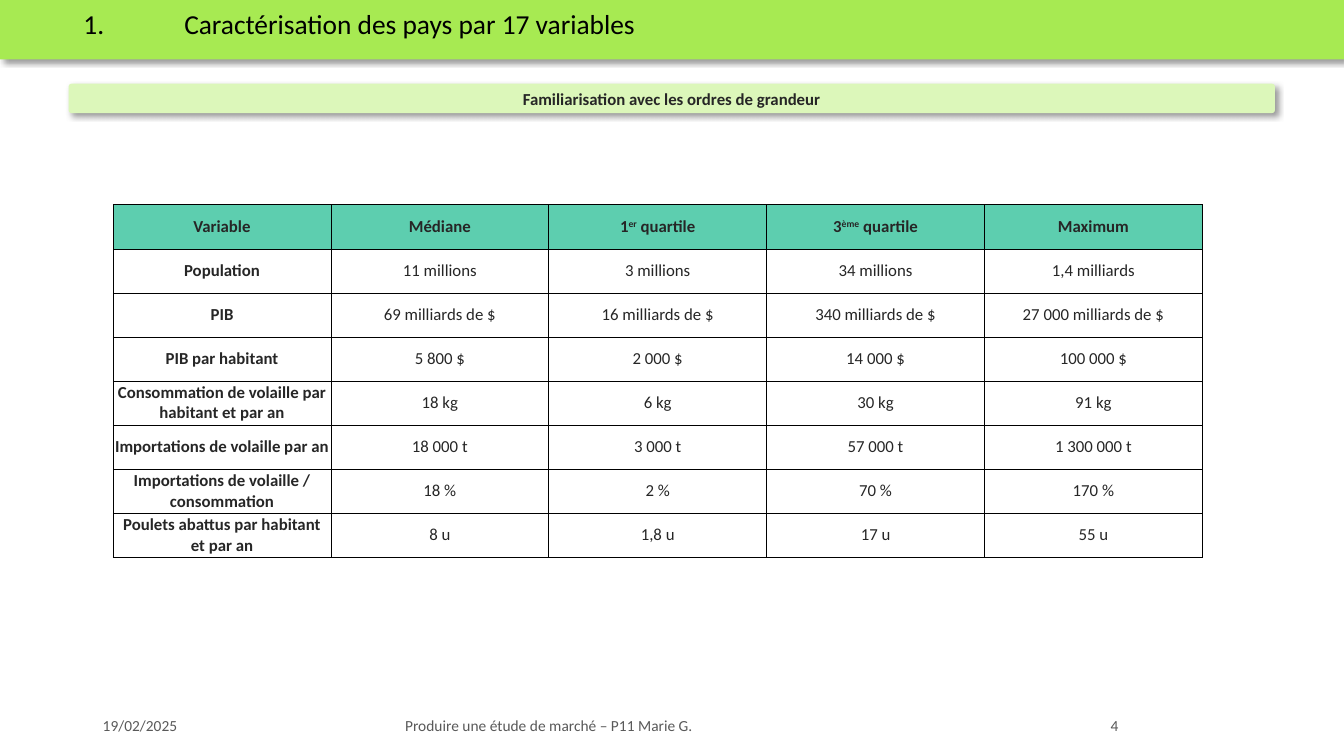
import pptx
import pptx.dml.color
import pptx.enum.shapes
import pptx.enum.text
import pptx.oxml
import pptx.oxml.ns
import pptx.util

Cm, Pt = pptx.util.Cm, pptx.util.Pt
SHAPE = pptx.enum.shapes.MSO_SHAPE
ALIGN = pptx.enum.text.PP_ALIGN
ANCHOR = pptx.enum.text.MSO_ANCHOR
NS = pptx.oxml.ns.nsdecls("a")

TITLE = "1.\tCaractérisation des pays par 17 variables"
BADGE = "Familiarisation avec les ordres de grandeur"
FOOTER = "19/02/2025\tProduire une étude de marché – P11 Marie G.\t4"
# Text between carets is superscript.
ROWS = [
    ("Variable", "Médiane", "1^er^ quartile", "3^ème^ quartile", "Maximum"),
    ("Population", "11 millions", "3 millions", "34 millions", "1,4 milliards"),
    ("PIB", "69 milliards de $", "16 milliards de $", "340 milliards de $",
     "27 000 milliards de $"),
    ("PIB par habitant", "5 800 $", "2 000 $", "14 000 $", "100 000 $"),
    ("Consommation de volaille par habitant et par an", "18 kg", "6 kg",
     "30 kg", "91 kg"),
    ("Importations de volaille par an", "18 000 t", "3 000 t", "57 000 t",
     "1 300 000 t"),
    ("Importations de volaille / consommation", "18 %", "2 %", "70 %", "170 %"),
    ("Poulets abattus par habitant et par an", "8 u", "1,8 u", "17 u", "55 u"),
]
LIME, PALE, TEAL = "A7EA52", "DCF7BA", "5DCEAF"
BLACK, DARK, GREY = "000000", "262626", "595959"
COL, ROW = 5.49, 1.11


def color(code):
    return pptx.dml.color.RGBColor.from_string(code)


def box(*sizes):
    return [Cm(size) for size in sizes]


def style(para, size, code, bold=False, align=ALIGN.LEFT):
    para.alignment = align
    for run in para.runs:
        font = run.font
        font.name, font.size, font.bold = "Calibri", Pt(size), bold
        font.color.rgb = color(code)


def tabs(para, *stops):
    """Give the paragraph left tab stops, in centimetres."""
    marks = "".join(f'<a:tab pos="{Cm(stop)}" algn="l"/>' for stop in stops)
    para._p.get_or_add_pPr().append(
        pptx.oxml.parse_xml(f"<a:tabLst {NS}>{marks}</a:tabLst>"))


def band(slide, kind, place, code):
    """Add a filled bar with a soft shadow at its lower right."""
    bar = slide.shapes.add_shape(kind, *box(*place))
    bar.fill.solid()
    bar.fill.fore_color.rgb = color(code)
    bar.line.fill.background()
    bar.shadow.inherit = False
    glow = bar._element.spPr.find(pptx.oxml.ns.qn("a:effectLst"))
    glow.append(pptx.oxml.parse_xml(
        f'<a:outerShdw {NS} blurRad="{Pt(4)}" dist="{Pt(3)}" dir="2700000" '
        'algn="tl" rotWithShape="0"><a:srgbClr val="000000">'
        '<a:alpha val="40000"/></a:srgbClr></a:outerShdw>'))
    return bar


def border(cell):
    props = cell._tc.get_or_add_tcPr()
    for spot, side in enumerate(("lnL", "lnR", "lnT", "lnB")):
        props.insert(spot, pptx.oxml.parse_xml(
            f'<a:{side} {NS} w="{Pt(0.5)}"><a:solidFill>'
            f'<a:srgbClr val="{BLACK}"/></a:solidFill></a:{side}>'))


def fill_cell(cell, text, head, bold):
    cell.margin_left = cell.margin_right = Cm(0.03)
    cell.margin_top = cell.margin_bottom = Cm(0.03)
    cell.vertical_anchor = ANCHOR.MIDDLE
    if head:
        cell.fill.solid()
        cell.fill.fore_color.rgb = color(TEAL)
    else:
        cell.fill.background()
    border(cell)
    para = cell.text_frame.paragraphs[0]
    for spot, part in enumerate(text.split("^")):
        run = para.add_run()
        run.text = part
        if spot % 2:
            run._r.get_or_add_rPr().set("baseline", "30000")
    style(para, 12, DARK, bold, ALIGN.CENTER)


def add_grid(slide):
    wide, tall = len(ROWS[0]), len(ROWS)
    grid = slide.shapes.add_table(
        tall, wide, *box(2.85, 5.16, COL * wide, ROW * tall)).table
    grid.horz_banding = False
    for col in grid.columns:
        col.width = Cm(COL)
    for r, row in enumerate(ROWS):
        grid.rows[r].height = Cm(ROW)
        for c, text in enumerate(row):
            fill_cell(grid.cell(r, c), text, r == 0, r == 0 or c == 0)


def add_title(slide):
    title = slide.shapes.title
    title.left, title.top, title.width, title.height = box(1.85, 0.28, 25.83, 0.91)
    frame = title.text_frame
    frame.text = TITLE
    frame.word_wrap = True
    frame.auto_size = pptx.enum.text.MSO_AUTO_SIZE.NONE
    frame.vertical_anchor = ANCHOR.TOP
    para = frame.paragraphs[0]
    para.line_spacing, para.space_before = 0.7, Pt(10)
    style(para, 19.6, BLACK)
    tabs(para, 2.54)
    slide.shapes._spTree.append(title._element)  # in front of the top bar


def add_badge(slide):
    badge = band(slide, SHAPE.ROUNDED_RECTANGLE, (1.73, 2.11, 30.4, 0.74), PALE)
    badge.adjustments[0] = 0.1
    frame = badge.text_frame
    frame.margin_left = frame.margin_right = Cm(0.1)
    frame.vertical_anchor = ANCHOR.MIDDLE
    frame.text = BADGE
    style(frame.paragraphs[0], 12, DARK, True, ALIGN.CENTER)


def add_foot(slide):
    frame = slide.shapes.add_textbox(*box(2.34, 17.91, 29.21, 0.76)).text_frame
    frame.word_wrap = True
    frame.vertical_anchor = ANCHOR.MIDDLE
    frame.text = FOOTER
    style(frame.paragraphs[0], 11, GREY)
    tabs(frame.paragraphs[0], 7.62, 25.4)


def main():
    deck = pptx.Presentation()
    deck.slide_width, deck.slide_height = box(33.87, 19.05)
    slide = deck.slides.add_slide(deck.slide_layouts[5])
    add_foot(slide)
    band(slide, SHAPE.RECTANGLE, (0, 0, 33.87, 1.5), LIME)
    add_badge(slide)
    add_title(slide)
    add_grid(slide)
    deck.save("out.pptx")


if __name__ == "__main__":
    main()
